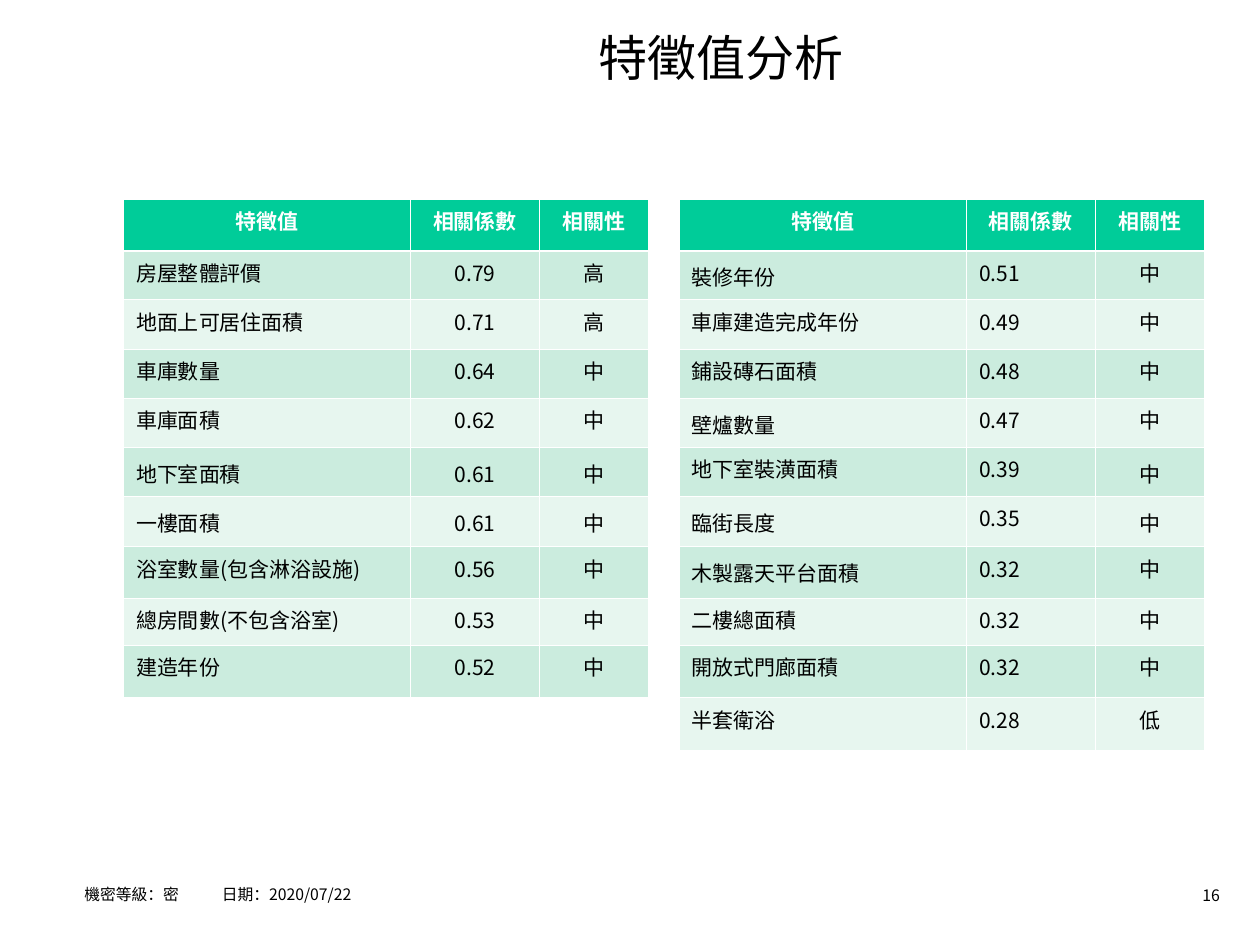
from lxml.etree import SubElement as Sub
from pptx import Presentation
from pptx.dml.color import RGBColor
from pptx.enum.text import PP_ALIGN as Align
from pptx.oxml.ns import qn
from pptx.util import Inches, Pt

FONT = "Noto Sans CJK SC"
rgb = RGBColor.from_string


def write(frame, text, size, align, color="000000", bold=False):
    """Fill the frame with one styled paragraph and return it."""
    para = frame.paragraphs[0]
    para.text = text
    para.alignment = align
    font = para.font
    font.size, font.bold, font.name = Pt(size), bold, FONT
    font.color.rgb = rgb(color)
    Sub(font._element, qn("a:ea"), typeface=FONT)
    return para


def edge(cell, head, first):
    """Draw white cell borders, thicker between header and body."""
    props = cell._tc.get_or_add_tcPr()
    for side in "LRTB":
        thick = (head and side == "B") or (first and side == "T")
        line = Sub(props, qn(f"a:ln{side}"), w=str(Pt(1.47 if thick else 0.45)))
        Sub(Sub(line, qn("a:solidFill")), qn("a:srgbClr"), val="FFFFFF")


deck = Presentation()
deck.slide_width, deck.slide_height = Inches(10), Inches(7.5)
slide = deck.slides.add_slide(deck.slide_layouts[6])

# Title, footer and page number
texts = [
    ("特徵值分析", 2.31, 0.17, 6.83, 0.59, 28, Align.CENTER),
    ("機密等級：密\t日期：2020/07/22", 0.67, 6.9, 7.42, 0.31, 9, Align.LEFT),
    ("16", 9.1, 6.98, 0.68, 0.25, 9, Align.RIGHT),
]
for text, left, top, wide, high, size, align in texts:
    box = slide.shapes.add_textbox(*map(Inches, (left, top, wide, high)))
    frame = box.text_frame
    frame.word_wrap = True
    if "\t" in text:
        frame.margin_left = 0
        props = frame.paragraphs[0]._p.get_or_add_pPr()
        Sub(Sub(props, qn("a:tabLst")), qn("a:tab"),
            pos=str(Inches(1.09)), algn="l")
    para = write(frame, text, size, align)
    if "\t" in text:
        para.line_spacing = 1.5

# Each row: feature, coefficient, strength, columns with wider line spacing
heads = ("特徵值", "相關係數", "相關性", ())
wide_all = (0, 1, 2)
strong = [
    ("房屋整體評價", "0.79", "高", ()),
    ("地面上可居住面積", "0.71", "高", ()),
    ("車庫數量", "0.64", "中", ()),
    ("車庫面積", "0.62", "中", ()),
    ("地下室面積", "0.61", "中", wide_all),
    ("一樓面積", "0.61", "中", wide_all),
    ("浴室數量(包含淋浴設施)", "0.56", "中", ()),
    ("總房間數(不包含浴室)", "0.53", "中", ()),
    ("建造年份", "0.52", "中", ()),
]
weak = [
    ("裝修年份", "0.51", "中", (0,)),
    ("車庫建造完成年份", "0.49", "中", ()),
    ("鋪設磚石面積", "0.48", "中", ()),
    ("壁爐數量", "0.47", "中", (0,)),
    ("地下室裝潢面積", "0.39", "中", (2,)),
    ("臨街長度", "0.35", "中", (0, 2)),
    ("木製露天平台面積", "0.32", "中", (0,)),
    ("二樓總面積", "0.32", "中", ()),
    ("開放式門廊面積", "0.32", "中", ()),
    ("半套衛浴", "0.28", "低", ()),
]
widths = [2.28, 1.02, 0.87]
heights = [0.41] + [0.39] * 5 + [0.4, 0.41, 0.37, 0.42, 0.42]

for left, body, middle in ((0.98, strong, Align.CENTER), (5.39, weak, Align.LEFT)):
    rows = [heads] + body
    tall = heights[:len(rows)]
    table = slide.shapes.add_table(
        len(rows), 3, Inches(left), Inches(1.58),
        Inches(sum(widths)), Inches(sum(tall))).table
    for col, width in zip(table.columns, widths):
        col.width = Inches(width)
    for r, (row, height) in enumerate(zip(rows, tall)):
        table.rows[r].height = Inches(height)
        head = r == 0
        fill = "00CC99" if head else "CBECDE" if r % 2 else "E7F6EF"
        aligns = [Align.CENTER] * 3 if head else [Align.LEFT, middle, Align.CENTER]
        for c, align in enumerate(aligns):
            cell = table.cell(r, c)
            edge(cell, head, r == 1)
            cell.fill.solid()
            cell.fill.fore_color.rgb = rgb(fill)
            color = "FFFFFF" if head else "000000"
            para = write(cell.text_frame, row[c], 12, align, color, head)
            if c in row[3]:
                para.line_spacing = 1.15

deck.save("out.pptx")
